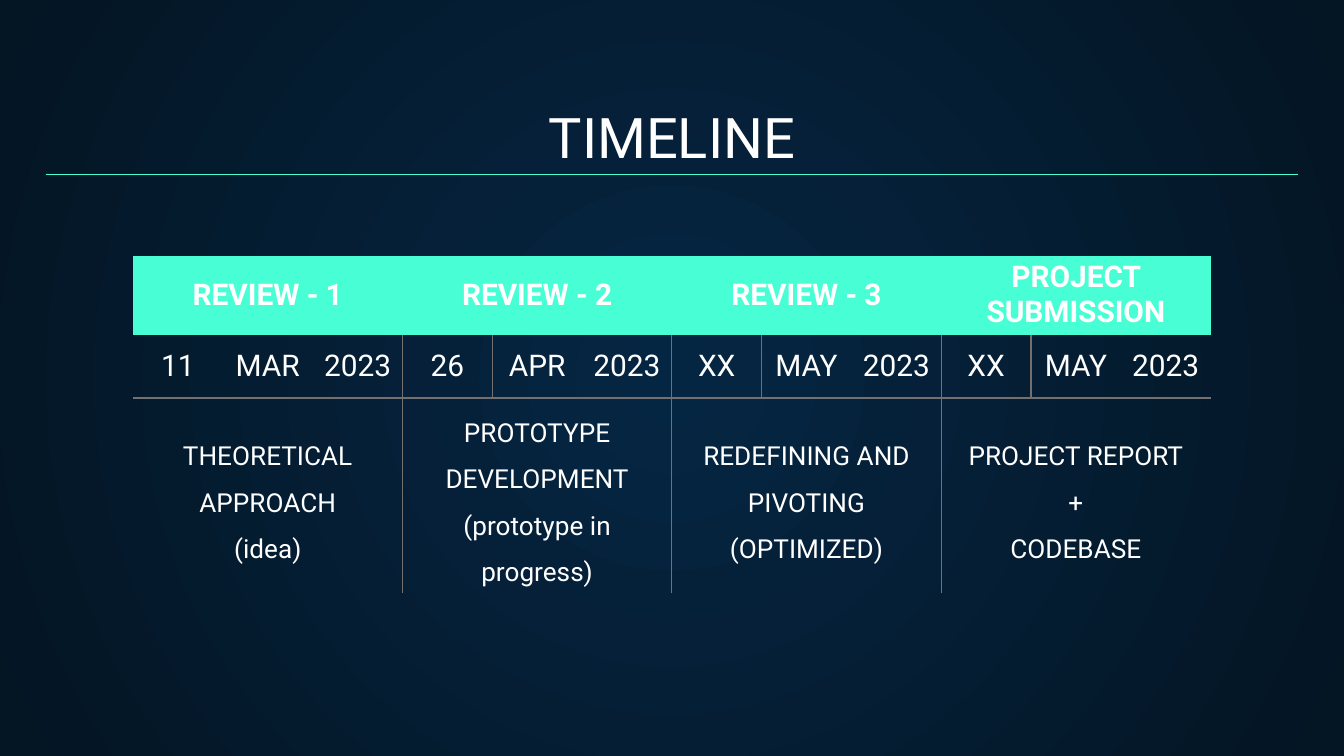
from dataclasses import dataclass

from lxml.etree import SubElement
from pptx import Presentation
from pptx.dml.color import RGBColor
from pptx.enum.shapes import MSO_CONNECTOR
from pptx.enum.text import MSO_ANCHOR, PP_ALIGN
from pptx.oxml.ns import qn
from pptx.util import Pt

COLORS = {
    "center": "052643",
    "edge": "041523",
    "accent": "48FFD5",
    "grid": "757070",
    "text": "FFFFFF",
}
FONT = "Roboto"
NO_TABLE_STYLE = "{2D5ABB26-0587-4C30-8999-92F81FD0307C}"
COLUMN_WIDTH = 48.12
ROW_HEIGHTS = (34, 34, 88)
DATE_PARTS = 3


@dataclass
class Milestone:
    name: str
    date: tuple[str, str, str]
    details: tuple[str, ...]


MILESTONES = [
    Milestone("REVIEW - 1", ("11", "MAR", "2023"), ("THEORETICAL APPROACH", "(idea)")),
    Milestone("REVIEW - 2", ("26", "APR", "2023"),
              ("PROTOTYPE DEVELOPMENT", "(prototype in progress)")),
    Milestone("REVIEW - 3", ("XX", "MAY", "2023"),
              ("REDEFINING AND PIVOTING", "(OPTIMIZED)")),
    Milestone("PROJECT SUBMISSION", ("XX", "MAY", "2023"),
              ("PROJECT REPORT", "+", "CODEBASE")),
]


def write_text(frame, *lines: str, size: float = 16, bold: bool = False,
               spacing: float = 1.0) -> None:
    """Fill a text frame with one centred paragraph per line."""
    for index, line in enumerate(lines):
        paragraph = frame.add_paragraph() if index else frame.paragraphs[0]
        paragraph.alignment = PP_ALIGN.CENTER
        paragraph.line_spacing = spacing
        run = paragraph.add_run()
        run.text = line
        run.font.name = FONT
        run.font.size = Pt(size)
        run.font.bold = bold
        run.font.color.rgb = RGBColor.from_string(COLORS["text"])


def set_background(slide) -> None:
    fill = slide.background.fill
    fill.gradient()
    for stop, name, position in zip(fill.gradient_stops, ("center", "edge"), (0, 1)):
        stop.color.rgb = RGBColor.from_string(COLORS[name])
        stop.position = position
    # Turn the linear gradient into a circular one
    gradient = next(slide.element.iter(qn("a:gradFill")))
    gradient.remove(gradient.find(qn("a:lin")))
    circle = SubElement(gradient, qn("a:path"), path="circle")
    SubElement(circle, qn("a:fillToRect"), l="50000", t="50000", r="50000", b="50000")


def add_title(slide, text: str) -> None:
    title = slide.shapes.title
    title.left, title.top, title.width, title.height = Pt(24.5), Pt(50.4), Pt(671), Pt(47.5)
    frame = title.text_frame
    frame.vertical_anchor = MSO_ANCHOR.BOTTOM
    frame.margin_left = frame.margin_right = Pt(7.2)
    frame.margin_top = frame.margin_bottom = Pt(7.2)
    write_text(frame, text, size=30)


def add_rule(slide, left: float, right: float, top: float) -> None:
    rule = slide.shapes.add_connector(
        MSO_CONNECTOR.STRAIGHT, Pt(left), Pt(top), Pt(right), Pt(top))
    rule.line.color.rgb = RGBColor.from_string(COLORS["accent"])
    rule.line.width = Pt(0.75)
    SubElement(rule.element.spPr, qn("a:effectLst"))


def set_borders(cell, sides: str) -> None:
    """Draw grid lines on the given sides, in the order L, R, T, B."""
    properties = cell._tc.get_or_add_tcPr()
    for side in sides:
        line = SubElement(properties, qn(f"a:ln{side}"), w=str(Pt(0.75)))
        fill = SubElement(line, qn("a:solidFill"))
        SubElement(fill, qn("a:srgbClr"), val=COLORS["grid"])


def format_cell(cell) -> None:
    cell.vertical_anchor = MSO_ANCHOR.MIDDLE
    cell.margin_left = cell.margin_right = Pt(5)
    cell.margin_top = cell.margin_bottom = Pt(2.5)


def fill_milestone(table, index: int, milestone: Milestone) -> None:
    first = index * DATE_PARTS
    last = first + DATE_PARTS - 1
    left_side = "L" if index else ""
    right_side = "R" if index < len(MILESTONES) - 1 else ""

    # Header and details each span the three date columns
    header, details = table.cell(0, first), table.cell(2, first)
    for cell, row in ((header, 0), (details, 2)):
        cell.merge(table.cell(row, last))
        format_cell(cell)
    header.fill.solid()
    header.fill.fore_color.rgb = RGBColor.from_string(COLORS["accent"])
    write_text(header.text_frame, milestone.name, bold=True)
    set_borders(details, left_side + right_side + "T")
    write_text(details.text_frame, *milestone.details, size=14, spacing=1.5)

    # Day, month and year
    for column, part in enumerate(milestone.date, first):
        cell = table.cell(1, column)
        format_cell(cell)
        sides = left_side if column == first else right_side if column == last else ""
        set_borders(cell, sides + "B")
        write_text(cell.text_frame, part)


def add_timeline(slide) -> None:
    column_count = len(MILESTONES) * DATE_PARTS
    frame = slide.shapes.add_table(
        len(ROW_HEIGHTS), column_count, Pt(71.3), Pt(137),
        Pt(COLUMN_WIDTH * column_count), Pt(sum(ROW_HEIGHTS)))
    table = frame.table
    table.first_row = table.horz_banding = False
    next(frame.element.iter(qn("a:tableStyleId"))).text = NO_TABLE_STYLE
    for column in table.columns:
        column.width = Pt(COLUMN_WIDTH)
    for row, height in zip(table.rows, ROW_HEIGHTS):
        row.height = Pt(height)
    for index, milestone in enumerate(MILESTONES):
        fill_milestone(table, index, milestone)


def main() -> None:
    presentation = Presentation()
    presentation.slide_width, presentation.slide_height = Pt(720), Pt(405)
    slide = presentation.slides.add_slide(presentation.slide_layouts[5])
    set_background(slide)
    add_title(slide, "TIMELINE")
    add_rule(slide, 24.5, 695.5, 93.6)
    add_timeline(slide)
    presentation.save("out.pptx")


if __name__ == "__main__":
    main()
